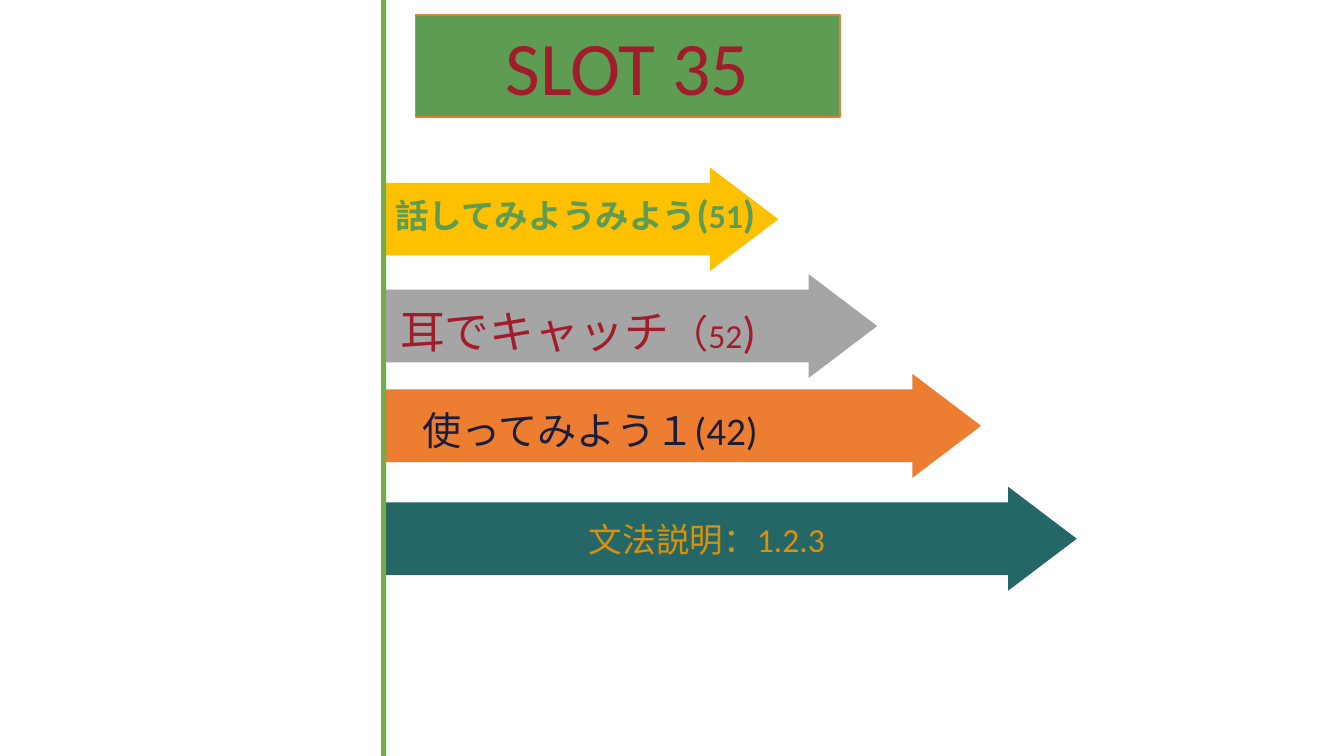
from dataclasses import dataclass

from pptx import Presentation
from pptx.dml.color import RGBColor
from pptx.enum.shapes import MSO_SHAPE
from pptx.enum.text import MSO_ANCHOR, PP_ALIGN
from pptx.shapes.autoshape import Shape
from pptx.slide import Slide
from pptx.util import Inches, Pt

FONT = "Calibri"
WHITE = RGBColor(0xFF, 0xFF, 0xFF)
GRAY = RGBColor(0xA5, 0xA5, 0xA5)
ORANGE = RGBColor(0xED, 0x7D, 0x31)
TEAL = RGBColor(0x25, 0x67, 0x66)
YELLOW = RGBColor(0xFF, 0xC0, 0x00)
BAR_GREEN = RGBColor(0x70, 0xAD, 0x47)
GREEN = RGBColor(0x5E, 0x9C, 0x53)
RED = RGBColor(0xA1, 0x1D, 0x2B)
NAVY = RGBColor(0x1A, 0x1E, 0x3B)
AMBER = RGBColor(0xD9, 0x91, 0x0B)

ARROW_HEIGHT = 1.03
ARROW_ADJUSTMENTS = (0.7, 0.66)


@dataclass(frozen=True)
class Area:
    left: float
    top: float
    width: float
    height: float


@dataclass(frozen=True)
class Span:
    text: str
    size: int


@dataclass(frozen=True)
class Arrow:
    left: float
    top: float
    width: float
    fill: RGBColor


@dataclass(frozen=True)
class Label:
    area: Area
    color: RGBColor
    spans: tuple[Span, ...]
    bold: bool = False


GRAMMAR_ARROW = Arrow(3.82, 4.83, 6.86, TEAL)
ARROWS = (
    Arrow(3.82, 1.66, 3.9, YELLOW),
    Arrow(3.82, 2.72, 4.88, GRAY),
    Arrow(3.82, 3.71, 5.91, ORANGE),
)
LABELS = (
    Label(Area(3.82, 1.83, 4.51, 0.57), GREEN,
          (Span("話してみようみよう", 24), Span("(", 28), Span("51", 24), Span(")", 28)),
          bold=True),
    Label(Area(3.87, 2.96, 4.76, 0.64), RED,
          (Span("耳でキャッチ", 32), Span("（", 28), Span("52", 24), Span(")", 32))),
    Label(Area(4.09, 3.98, 5.63, 0.57), NAVY, (Span("使ってみよう１(42)", 28),)),
)


def add_filled_shape(page: Slide, kind: MSO_SHAPE, area: Area, fill: RGBColor) -> Shape:
    shape = page.shapes.add_shape(kind, Inches(area.left), Inches(area.top),
                                  Inches(area.width), Inches(area.height))
    shape.shadow.inherit = False
    shape.fill.solid()
    shape.fill.fore_color.rgb = fill
    shape.line.fill.background()
    return shape


def add_arrow(page: Slide, arrow: Arrow) -> Shape:
    area = Area(arrow.left, arrow.top, arrow.width, ARROW_HEIGHT)
    shape = add_filled_shape(page, MSO_SHAPE.RIGHT_ARROW, area, arrow.fill)
    for index, value in enumerate(ARROW_ADJUSTMENTS):
        shape.adjustments[index] = value
    return shape


def write_spans(box: Shape, spans: tuple[Span, ...], color: RGBColor,
                align: PP_ALIGN, anchor: MSO_ANCHOR, bold: bool = False) -> None:
    frame = box.text_frame
    frame.word_wrap = True
    frame.vertical_anchor = anchor
    para = frame.paragraphs[0]
    para.alignment = align
    for span in spans:
        run = para.add_run()
        run.text = span.text
        run.font.name = FONT
        run.font.size = Pt(span.size)
        run.font.bold = bold
        run.font.color.rgb = color


def add_label(page: Slide, label: Label) -> None:
    area = label.area
    box = page.shapes.add_textbox(Inches(area.left), Inches(area.top),
                                  Inches(area.width), Inches(area.height))
    write_spans(box, label.spans, label.color, PP_ALIGN.LEFT, MSO_ANCHOR.TOP, label.bold)


def main() -> None:
    deck = Presentation()
    deck.slide_width, deck.slide_height = Inches(13.33), Inches(7.5)
    page = deck.slides.add_slide(deck.slide_layouts[6])
    page.background.fill.solid()
    page.background.fill.fore_color.rgb = WHITE

    for arrow in ARROWS:
        add_arrow(page, arrow)
    grammar = add_arrow(page, GRAMMAR_ARROW)
    write_spans(grammar, (Span("文法説明：1.2.3", 24),), AMBER,
                PP_ALIGN.CENTER, MSO_ANCHOR.MIDDLE)

    add_filled_shape(page, MSO_SHAPE.RECTANGLE, Area(3.78, 0, 0.05, 7.5), BAR_GREEN)
    for label in LABELS:
        add_label(page, label)

    title = add_filled_shape(page, MSO_SHAPE.RECTANGLE, Area(4.12, 0.15, 4.21, 1.01), GREEN)
    title.line.color.rgb = ORANGE
    title.line.width = Pt(1)
    write_spans(title, (Span("SLOT 35", 54),), RED, PP_ALIGN.CENTER, MSO_ANCHOR.TOP)

    deck.save("out.pptx")


if __name__ == "__main__":
    main()
